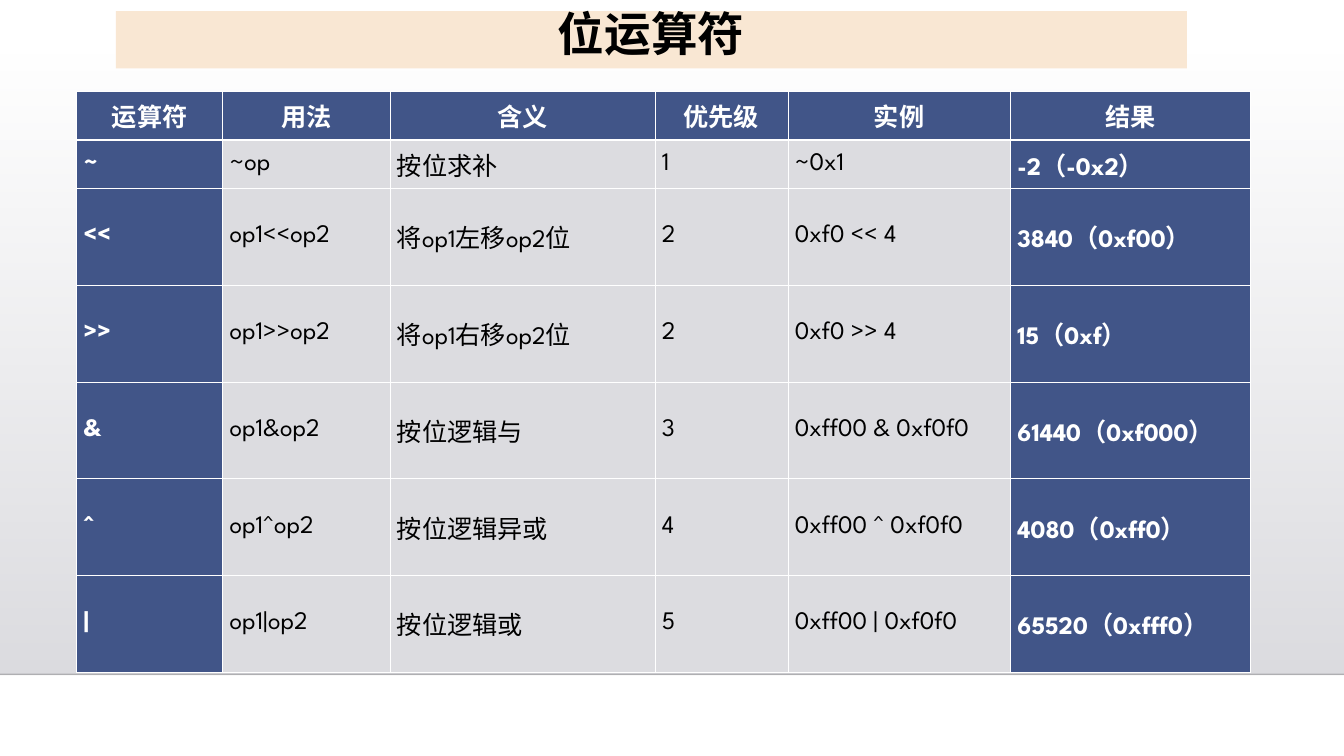
from dataclasses import dataclass
from typing import Any

from lxml.etree import SubElement
from pptx import Presentation
from pptx.dml.color import RGBColor
from pptx.enum.shapes import MSO_CONNECTOR, MSO_SHAPE
from pptx.enum.text import MSO_ANCHOR, MSO_AUTO_SIZE, PP_ALIGN
from pptx.oxml.ns import qn
from pptx.slide import Slide
from pptx.util import Inches, Pt


@dataclass(frozen=True)
class Theme:
    font: str = "League Spartan"
    navy: str = "415588"
    grey: str = "DCDCE0"
    backdrop: str = "DEDEE2"
    peach: str = "F9E7D3"
    white: str = "FFFFFF"
    black: str = "000000"
    title_size: float = 33.3
    cell_size: float = 18
    thin: float = 0.45
    thick: float = 1.47


@dataclass(frozen=True)
class Operator:
    symbol: str
    usage: str
    meaning: str
    priority: int
    example: str
    result: str

    def texts(self) -> list[str]:
        return [self.symbol, self.usage, self.meaning, str(self.priority),
                self.example, self.result]


THEME = Theme()
SLIDE_WIDTH, SLIDE_HEIGHT = 13.34, 7.5
BACKDROP_TOP, BACKDROP_BOTTOM = 0.51, 6.69
HEADERS = ["运算符", "用法", "含义", "优先级", "实例", "结果"]
OPERATORS = [
    Operator("~", "~op", "按位求补", 1, "~0x1", "-2（-0x2）"),
    Operator("<<", "op1<<op2", "将op1左移op2位", 2, "0xf0 << 4", "3840（0xf00）"),
    Operator(">>", "op1>>op2", "将op1右移op2位", 2, "0xf0 >> 4", "15（0xf）"),
    Operator("&", "op1&op2", "按位逻辑与", 3, "0xff00 & 0xf0f0", "61440（0xf000）"),
    Operator("^", "op1^op2", "按位逻辑异或", 4, "0xff00 ^ 0xf0f0", "4080（0xff0）"),
    Operator("|", "op1|op2", "按位逻辑或", 5, "0xff00 | 0xf0f0", "65520（0xfff0）"),
]
COLUMN_WIDTHS = [1.45, 1.66, 2.63, 1.32, 2.21, 2.38]
ROW_HEIGHTS = [0.48] * 2 + [0.96] * 5
TABLE_LEFT, TABLE_TOP = 0.76, 0.91


def set_all(target: Any, values: dict[str, Any]) -> None:
    for name, value in values.items():
        setattr(target, name, value)


def write(para: Any, text: str, size: float, color: str, bold: bool) -> None:
    span = para.add_run()
    span.text = text
    set_all(span.font, {"name": THEME.font, "size": Pt(size), "bold": bold})
    span.font.color.rgb = RGBColor.from_string(color)


def set_opacity(element: Any, percent: int) -> None:
    color = next(element.iter(qn("a:srgbClr")))
    SubElement(color, qn("a:alpha"), val=str(percent * 1000))


def add_backdrop(slide: Slide) -> None:
    """Draw the fading grey panel and the faint rule under it."""
    panel = slide.shapes.add_shape(
        MSO_SHAPE.RECTANGLE, 0, Inches(BACKDROP_TOP), Inches(SLIDE_WIDTH),
        Inches(BACKDROP_BOTTOM - BACKDROP_TOP))
    panel.shadow.inherit = False
    panel.line.fill.background()
    panel.fill.gradient()
    panel.fill.gradient_angle = 270
    for stop, color in zip(panel.fill.gradient_stops, (THEME.grey, THEME.backdrop)):
        stop.color.rgb = RGBColor.from_string(color)
    set_opacity(panel.element.spPr, 0)

    rule = slide.shapes.add_connector(
        MSO_CONNECTOR.STRAIGHT, 0, Inches(BACKDROP_BOTTOM),
        Inches(SLIDE_WIDTH), Inches(BACKDROP_BOTTOM))
    rule.line.width = Pt(1)
    rule.line.color.rgb = RGBColor.from_string(THEME.black)
    set_opacity(rule.element.spPr, 20)
    SubElement(rule.element.spPr, qn("a:effectLst"))


def add_borders(cell: Any, top: float, bottom: float) -> None:
    properties = cell._tc.get_or_add_tcPr()
    widths = {"lnL": THEME.thin, "lnR": THEME.thin, "lnT": top, "lnB": bottom}
    for side, width in widths.items():
        line = SubElement(properties, qn(f"a:{side}"), w=str(Pt(width)))
        fill = SubElement(line, qn("a:solidFill"))
        SubElement(fill, qn("a:srgbClr"), val=THEME.white)


def format_cell(cell: Any, text: str, is_header: bool, is_strong: bool) -> None:
    set_all(cell, {
        "margin_left": Inches(0.07), "margin_right": Inches(0.07),
        "margin_top": Inches(0.05), "margin_bottom": Inches(0.05),
        "vertical_anchor": MSO_ANCHOR.TOP if is_header else MSO_ANCHOR.MIDDLE})
    cell.fill.solid()
    cell.fill.fore_color.rgb = RGBColor.from_string(
        THEME.navy if is_strong else THEME.grey)
    para = cell.text_frame.paragraphs[0]
    para.alignment = PP_ALIGN.CENTER if is_header else PP_ALIGN.JUSTIFY
    write(para, text, THEME.cell_size,
          THEME.white if is_strong else THEME.black, is_strong)


def add_operator_table(slide: Slide) -> None:
    rows = [HEADERS] + [operator.texts() for operator in OPERATORS]
    last_row, last_column = len(rows) - 1, len(HEADERS) - 1
    thick_edges = {1, last_row}
    table = slide.shapes.add_table(
        len(rows), len(HEADERS), Inches(TABLE_LEFT), Inches(TABLE_TOP),
        Inches(sum(COLUMN_WIDTHS)), Inches(sum(ROW_HEIGHTS))).table
    set_all(table, {"first_row": False, "horz_banding": False})
    for column, width in zip(table.columns, COLUMN_WIDTHS):
        column.width = Inches(width)
    for row, height in zip(table.rows, ROW_HEIGHTS):
        row.height = Inches(height)
    for row_index, texts in enumerate(rows):
        top, bottom = (THEME.thick if edge in thick_edges else THEME.thin
                       for edge in (row_index, row_index + 1))
        for column_index, text in enumerate(texts):
            cell = table.cell(row_index, column_index)
            is_header = row_index == 0
            add_borders(cell, top, bottom)
            format_cell(cell, text, is_header,
                        is_header or column_index in (0, last_column))


def place_title(slide: Slide) -> None:
    """Format the title and bring it in front of the backdrop."""
    title = slide.shapes.title
    set_all(title, {"left": Inches(1.15), "top": Inches(0.11),
                    "width": Inches(10.63), "height": Inches(0.57)})
    title.fill.solid()
    title.fill.fore_color.rgb = RGBColor.from_string(THEME.peach)
    set_all(title.text_frame, {
        "word_wrap": True, "auto_size": MSO_AUTO_SIZE.NONE,
        "vertical_anchor": MSO_ANCHOR.TOP,
        "margin_left": Inches(0.1), "margin_right": Inches(0.1),
        "margin_top": Inches(0.05), "margin_bottom": Inches(0.05)})
    para = title.text_frame.paragraphs[0]
    set_all(para, {"alignment": PP_ALIGN.CENTER, "line_spacing": 0.8,
                   "space_before": Pt(0)})
    write(para, "位运算符", THEME.title_size, THEME.black, True)
    title.element.getparent().append(title.element)


def main() -> None:
    deck = Presentation()
    set_all(deck, {"slide_width": Inches(SLIDE_WIDTH),
                   "slide_height": Inches(SLIDE_HEIGHT)})
    slide = deck.slides.add_slide(deck.slide_layouts.get_by_name("Title Only"))
    add_backdrop(slide)
    add_operator_table(slide)
    place_title(slide)
    deck.save("out.pptx")


if __name__ == "__main__":
    main()
